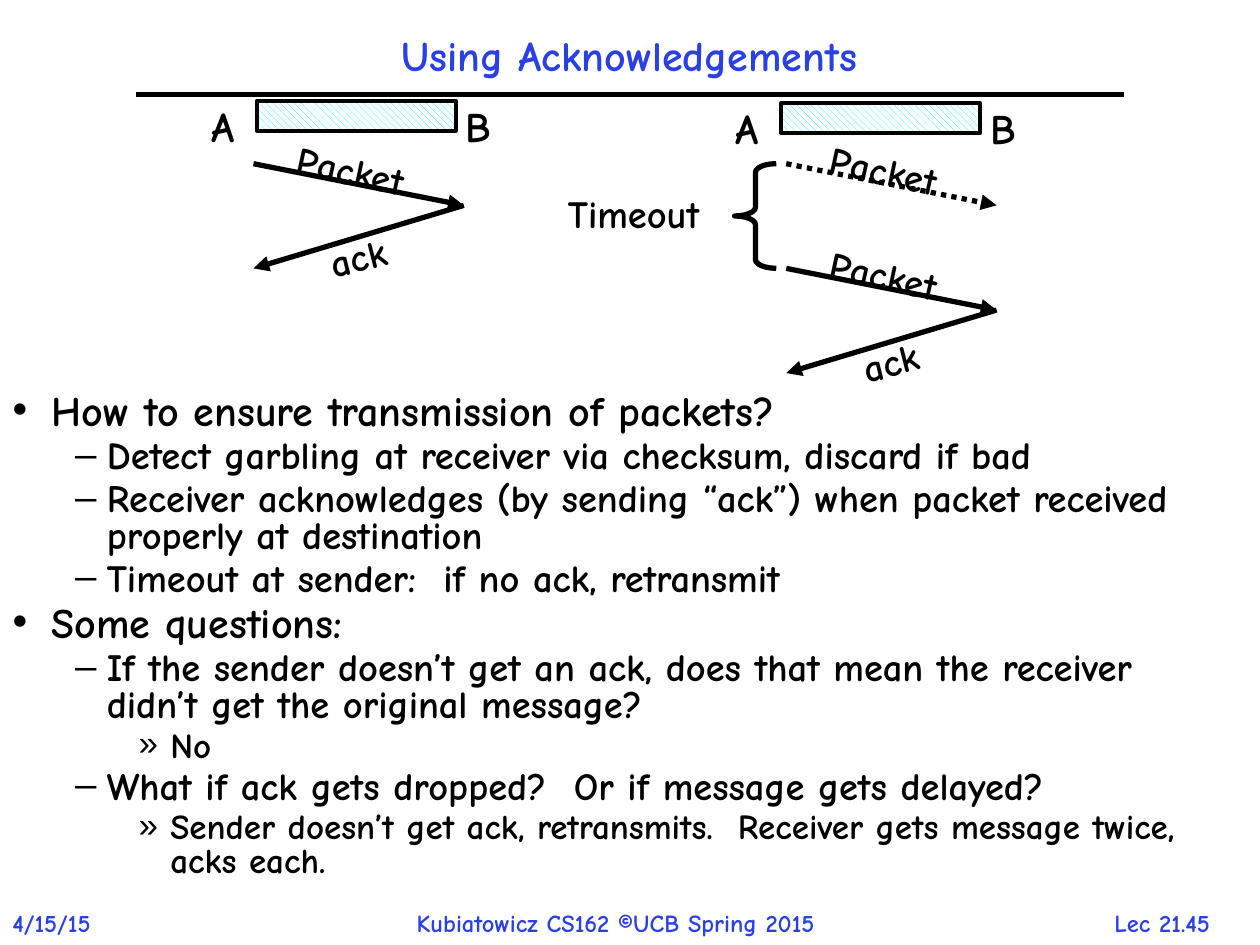
from lxml.etree import SubElement
from pptx import Presentation
from pptx.dml.color import RGBColor
from pptx.enum.dml import MSO_LINE, MSO_PATTERN
from pptx.enum.shapes import MSO_CONNECTOR, MSO_SHAPE
from pptx.enum.text import MSO_ANCHOR, MSO_AUTO_SIZE, PP_ALIGN
from pptx.oxml.ns import qn
from pptx.util import Cm, Pt

BLACK = RGBColor(0x00, 0x00, 0x00)
WHITE = RGBColor(0xFF, 0xFF, 0xFF)
BLUE = RGBColor(0x2A, 0x40, 0xE2)
CYAN = RGBColor(0x00, 0xFF, 0xFF)


def write(par, text, size, tone, **form):
    for key, val in form.items():
        setattr(par, key, val)
    run = par.add_run()
    run.text = text
    font = {"name": "Comic Neue", "size": Pt(size), "bold": True}
    for key, val in font.items():
        setattr(run.font, key, val)
    run.font.color.rgb = tone


def place(shape, left, top, width, height):
    spot = {"left": left, "top": top, "width": width, "height": height}
    for key, val in spot.items():
        setattr(shape, key, Cm(val))


deck = Presentation()
deck.slide_width, deck.slide_height = Cm(25.4), Cm(19.05)
slide = deck.slides.add_slide(deck.slide_layouts[1])
shapes = slide.shapes

# Title
title = shapes.title
place(title, 2.74, 0.43, 19.89, 1.47)
title.text_frame.vertical_anchor = MSO_ANCHOR.MIDDLE
title.text_frame.auto_size = MSO_AUTO_SIZE.NONE
write(title.text_frame.paragraphs[0], "Using Acknowledgements", 24, BLUE,
      alignment=PP_ALIGN.CENTER, line_spacing=0.9)

# Bullet list: mark, size, left margin and hanging indent by level
levels = [("•", 24, 0.79, 0.79), ("–", 22, 1.9, 0.64), ("»", 20, 3.18, 0.64)]
points = [
    (0, "How to ensure transmission of packets?"),
    (1, "Detect garbling at receiver via checksum, discard if bad"),
    (1, "Receiver acknowledges (by sending “ack”) when packet received "
        "properly at destination"),
    (1, "Timeout at sender:  if no ack, retransmit"),
    (0, "Some questions:"),
    (1, "If the sender doesn’t get an ack, does that mean the receiver "
        "didn’t get the original message?"),
    (2, "No"),
    (1, "What if ack gets dropped?  Or if message gets delayed?"),
    (2, "Sender doesn’t get ack, retransmits.  Receiver gets message twice, "
        "acks each."),
]
body = slide.placeholders[1]
place(body, 0, 7.82, 24.77, 10.64)
frame = body.text_frame
frame.auto_size = MSO_AUTO_SIZE.NONE
for num, (level, text) in enumerate(points):
    par = frame.add_paragraph() if num else frame.paragraphs[0]
    mark, size, left, hang = levels[level]
    props = par._p.get_or_add_pPr()
    props.set("marL", str(Cm(left)))
    props.set("indent", str(-Cm(hang)))
    SubElement(props, qn("a:buChar")).set("char", mark)
    write(par, text, size, BLACK, level=level, line_spacing=0.8,
          space_before=Pt(0.15 * size if num else 0))

# Labels: text, box, size, colour, turn, alignment
LEFT, MID = PP_ALIGN.LEFT, PP_ALIGN.CENTER
labels = [
    ("4/15/15", (0, 18.19, 2.54, 0.86), 14, BLUE, 0, LEFT),
    ("Kubiatowicz CS162 ©UCB Spring 2015", (8.15, 18.19, 9.83, 0.86),
     14, BLUE, 0, LEFT),
    ("Lec 21.45", (21.74, 18.19, 3.38, 0.84), 14, BLUE, 0, MID),
    ("Timeout", (11.2, 3.71, 3.48, 0.99), 22, BLACK, 0, LEFT),
]

# Channels between A and B
for x, y in [(5.18, 2.03), (15.75, 2.08)]:
    pipe = shapes.add_shape(MSO_SHAPE.RECTANGLE, Cm(x), Cm(y), Cm(4.01), Cm(0.61))
    pipe.shadow.inherit = False
    pipe.fill.patterned()
    pipe.fill.pattern = MSO_PATTERN.WIDE_DOWNWARD_DIAGONAL
    pipe.fill.fore_color.rgb = CYAN
    pipe.fill.back_color.rgb = WHITE
    pipe.line.color.rgb = BLACK
    pipe.line.width = Pt(2.25)
    for name, shift in [("A", -1.17), ("B", 3.96)]:
        labels.append((name, (x + shift, y - 0.13, 1.12, 1.07), 24, BLACK, 0, LEFT))

# Packets and acks: ends, arrowhead, dotted
lines = [(2.74, 1.9, 22.66, 1.9, False, False)]
for x, y, lost in [(5.11, 3.3, False), (15.85, 3.3, True), (15.85, 5.41, False)]:
    far, low = x + 4.24, y + 0.84
    lines.append((x, y, far, low, True, lost))
    labels.append(("Packet", (x + 0.64, y - 0.43, 2.97, 0.99), 22, BLACK, 12.3, LEFT))
    if not lost:
        lines.append((far, low, x, low + 1.27, True, False))
        labels.append(("ack", (x + 1.27, y + 1.27, 1.75, 0.99), 22, BLACK, -14.2, LEFT))

for x, y, far, low, head, dots in lines:
    line = shapes.add_connector(MSO_CONNECTOR.STRAIGHT, Cm(x), Cm(y), Cm(far), Cm(low))
    line.line.color.rgb = BLACK
    line.line.width = Pt(3)
    if dots:
        line.line.dash_style = MSO_LINE.ROUND_DOT
    if head:
        SubElement(line.line._get_or_add_ln(), qn("a:tailEnd")).set("type", "triangle")
    SubElement(line._element.spPr, qn("a:effectLst"))

# Timeout brace
brace = shapes.add_shape(MSO_SHAPE.LEFT_BRACE, Cm(14.81), Cm(3.3), Cm(0.84), Cm(2.11))
brace.adjustments[0] = 0.21
brace.shadow.inherit = False
brace.fill.background()
brace.line.color.rgb = BLACK
brace.line.width = Pt(3)

# Label text
for text, spot, size, tone, turn, align in labels:
    box = shapes.add_textbox(*map(Cm, spot))
    box.rotation = turn
    box.text_frame.word_wrap = True
    write(box.text_frame.paragraphs[0], text, size, tone, alignment=align)

deck.save("out.pptx")
